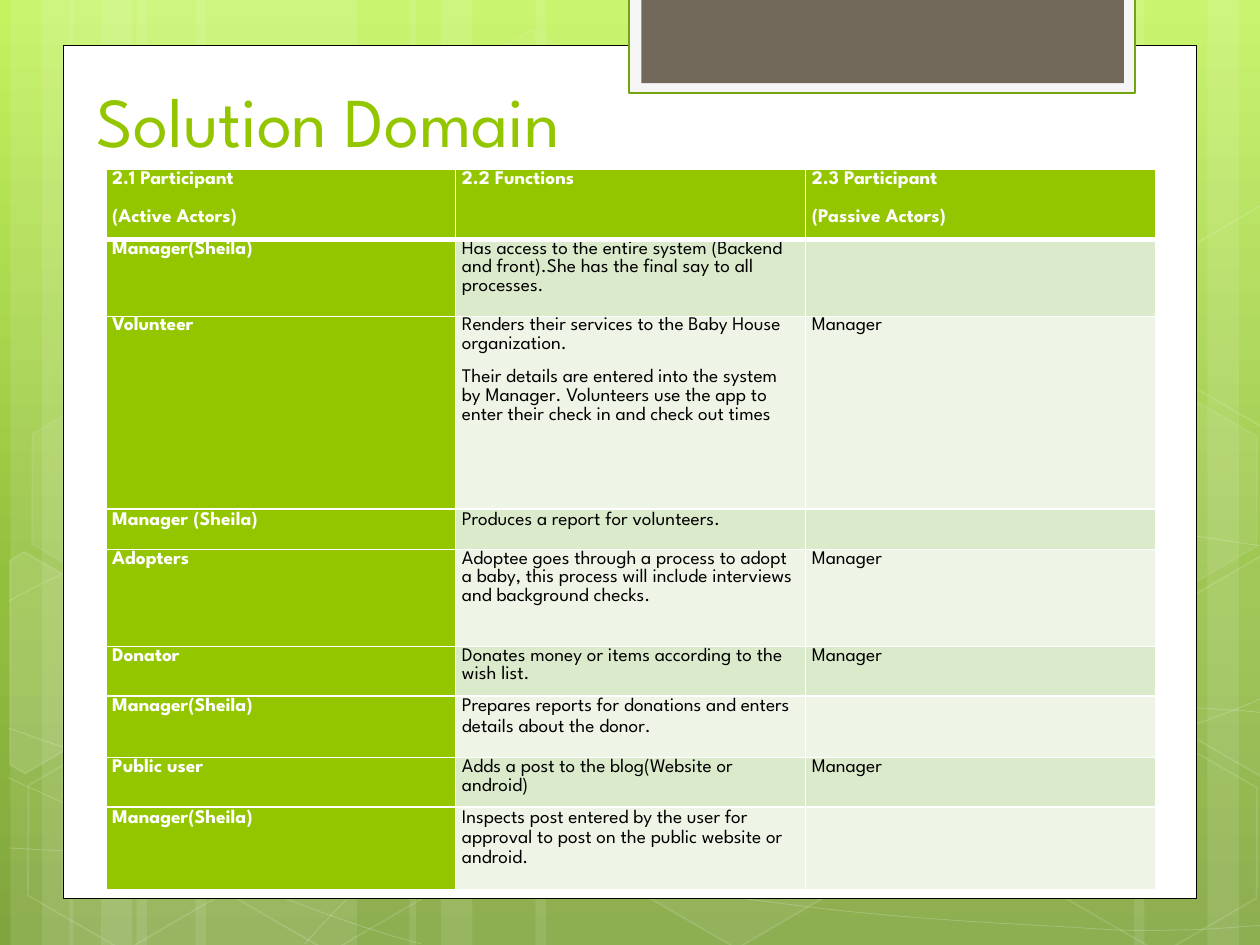
from copy import deepcopy

from lxml import etree
from pptx import Presentation
from pptx.dml.color import RGBColor
from pptx.enum.shapes import MSO_SHAPE
from pptx.enum.text import MSO_ANCHOR
from pptx.oxml.ns import qn
from pptx.util import Inches, Pt

RECTANGLE, HEXAGON = MSO_SHAPE.RECTANGLE, MSO_SHAPE.HEXAGON
BOTTOM = MSO_ANCHOR.BOTTOM
FONT = "League Spartan"
GREEN, WHITE, BLACK = "94C600", "FFFFFF", "000000"
BANDS = ("DCEACC", "EEF5E7")

presentation = Presentation()
presentation.slide_width, presentation.slide_height = Inches(10), Inches(7.5)
UNIT = presentation.slide_width // 10  # the grid has 10 columns and 7.5 rows
slide = presentation.slides.add_slide(presentation.slide_layouts[6])
shapes = slide.shapes


def grid(*lengths):
    """Turn grid columns or rows into slide lengths."""
    return [round(length * UNIT) for length in lengths]


def paint(shape, fill=None, opacity=100, line=None, width=1, line_opacity=100):
    """Set fill and outline, with opacity in percent; None leaves a part empty."""
    shape.shadow.inherit = False
    for target, color, percent in ((shape.fill, fill, opacity),
                                   (shape.line.fill, line, line_opacity)):
        if color is None:
            target.background()
            continue
        target.solid()
        target.fore_color.rgb = RGBColor.from_string(color)
        if percent < 100:
            area = shape.line._ln if target is shape.line.fill else shape._element.spPr
            swatch = area.find(qn("a:solidFill")).find(qn("a:srgbClr"))
            etree.SubElement(swatch, qn("a:alpha")).set("val", str(percent * 1000))
    if line:
        shape.line.width = Pt(width)


# Background gradient, from top to bottom
background = slide.background.fill
background.gradient()
background.gradient_angle = 270
stop_list = slide.element.find(".//" + qn("a:gsLst"))
stop_list.insert(1, deepcopy(stop_list[0]))
for stop, (position, color) in zip(background.gradient_stops,
                                   ((0, "C3F35F"), (0.62, "93BF3F"), (1, "81A53E"))):
    stop.position = position
    stop.color.rgb = RGBColor.from_string(color)

# Pale vertical bars: left and width in twelfths of a column
bars = [(13, 21), (1, 6), (4, 10), (18.6, 21), (6.6, 6), (9.6, 10),
        (88, 21), (115, 6), (108, 10), (51, 37), (39, 6), (42, 10)]
for left, width in bars:
    bar = shapes.add_shape(RECTANGLE, *grid(left / 12, 0, width / 12, 7.5))
    paint(bar, WHITE, 10)

# Thin curves: a start point, then two control points and an end point per piece
curves = [
    [(0.07, 6.73), (0.61, 6.76), (1.15, 6.79), (1.9, 6.78), (2.65, 6.77), (3.58, 6.75),
     (4.58, 6.65), (5.58, 6.55), (7, 6.36), (7.92, 6.17), (8.83, 5.98), (9.77, 5.68),
     (10.07, 5.51)],
    [(0.07, 4.77), (0.36, 4.61), (0.65, 4.46), (1.21, 4.31), (1.78, 4.16), (2.59, 3.94),
     (3.47, 3.87), (4.36, 3.8), (5.44, 3.79), (6.54, 3.87), (7.64, 3.95), (9.47, 4.26),
     (10.07, 4.34)],
    [(0.06, 6.17), (1.27, 6.72), (2.47, 7.27), (3.34, 7.49)],
    [(0.07, 5.78), (0.38, 5.89), (0.7, 6), (1.28, 6.16), (1.86, 6.31), (2.73, 6.56),
     (3.57, 6.73), (4.4, 6.9), (5.45, 7.08), (6.28, 7.18), (7.11, 7.29), (8, 7.33),
     (8.53, 7.36), (9.05, 7.4), (9.19, 7.38), (9.45, 7.38), (9.71, 7.37), (9.89, 7.35),
     (10.07, 7.34)],
    [(2.42, 7.49), (2.6, 7.29), (2.78, 7.09), (3.02, 6.91), (3.26, 6.73), (3.6, 6.53),
     (3.88, 6.39), (4.16, 6.25), (4.33, 6.19), (4.7, 6.09), (5.06, 5.99), (5.73, 5.85),
     (6.08, 5.78), (6.44, 5.71), (6.49, 5.71), (6.8, 5.69), (7.11, 5.66), (7.6, 5.63),
     (7.94, 5.62), (8.29, 5.61), (8.86, 5.62), (8.86, 5.62), (9.08, 5.62), (9.31, 5.62),
     (9.53, 5.62), (9.71, 5.63), (9.88, 5.64), (10.06, 5.66)],
]
for curve in curves:
    builder = shapes.build_freeform(*grid(*curve[0]))
    builder.add_line_segments([grid(*point) for point in curve[1:]], close=False)
    shape = builder.convert_to_shape()
    paint(shape, line=WHITE, width=0.5, line_opacity=20)
    # Every three straight segments become one Bézier piece
    segments = shape._element.findall(".//" + qn("a:lnTo"))
    outline = segments[0].getparent()
    for first in range(0, len(segments), 3):
        bezier = etree.SubElement(outline, qn("a:cubicBezTo"))
        for segment in segments[first:first + 3]:
            bezier.append(segment[0])
            outline.remove(segment)

# Whole hexagons: left, top, fill opacity, line opacity
hexagons = [(3.34, 0.36, 4, 8), (4.97, 5.89, 6, 12), (0.11, 5.91, 0, 12),
            (0.14, 3.12, 7, 8), (1.74, 5.92, 0, 12), (7.53, 4.53, 10, 12),
            (8.34, 5.93, 0, 12), (8.34, 3.14, 7, 8)]
for left, top, opacity, line_opacity in hexagons:
    hexagon = shapes.add_shape(HEXAGON, *grid(left, top, 1.75, 1.52))
    hexagon.adjustments[0] = 0.285
    hexagon.rotation = 30
    paint(hexagon, WHITE if opacity else None, opacity, WHITE, 1, line_opacity)

# Hexagons cut off by the slide's edges
cut_hexagons = [
    (10, [(0.08, 4.45), (0.19, 4.38), (0.96, 4.82), (0.95, 5.7), (0.2, 6.14), (0.08, 6.07)]),
    (4, [(9.26, 4.85), (10.01, 4.41), (10.09, 4.46), (10.09, 6.13), (10.02, 6.17), (9.26, 5.73)]),
    (0, [(9.26, 2.07), (10.01, 1.63), (10.1, 1.68), (10.09, 3.35), (10.02, 3.39), (9.26, 2.95)]),
]
for opacity, corners in cut_hexagons:
    builder = shapes.build_freeform(*grid(*corners[0]))
    builder.add_line_segments([grid(*corner) for corner in corners[1:]], close=True)
    paint(builder.convert_to_shape(), WHITE if opacity else None, opacity, WHITE, 1, 12)

# White page and the tab at its top
for box, fill, line, width in (((0.5, 0.36, 9, 6.77), WHITE, BLACK, 0.5),
                               ((4.99, -0.02, 4.02, 0.76), "F5F5F5", "74A510", 1.25),
                               ((5.09, -0.02, 3.83, 0.68), "71685A", None, 0)):
    paint(shapes.add_shape(RECTANGLE, *grid(*box)), fill, line=line, width=width)

title = shapes.add_textbox(*grid(0.67, 0.5, 4.58, 0.83)).text_frame
title.word_wrap = True
title.vertical_anchor = BOTTOM
title.text = "Solution Domain"
title_font = title.paragraphs[0].runs[0].font
title_font.name, title_font.size = FONT, Pt(40)
title_font.color.rgb = RGBColor.from_string(GREEN)

# Each row: height, line spacing, cell texts
rows = [
    (0.5, 1.15, "2.1 Participant\n(Active Actors)", "2.2 Functions",
     "2.3 Participant\n(Passive Actors)"),
    (0.61, 1.07, "Manager(Sheila)", "Has access to the entire system (Backend and front)."
     "She has the final say to all processes.", ""),
    (1.53, 1.07, "Volunteer", "Renders their services to the Baby House organization.\n"
     "Their details are entered into the system by Manager. Volunteers use the app to "
     "enter their check in and check out times", "Manager"),
    (0.32, 1.15, "Manager (Sheila)", "Produces a report for volunteers.", ""),
    (0.77, 1.07, "Adopters", "Adoptee goes through a process to adopt a baby, this process "
     "will include interviews and background checks.", "Manager"),
    (0.3, 1.07, "Donator", "Donates money or items according to the wish list.", "Manager"),
    (0.49, 1.15, "Manager(Sheila)",
     "Prepares reports for donations and enters details about the donor.", ""),
    (0.3, 1.07, "Public user", "Adds a post to the blog(Website or android)", "Manager"),
    (0.66, 1.15, "Manager(Sheila)", "Inspects post entered by the user for approval to post "
     "on the public website or android.", ""),
]
table_height = sum(row[0] for row in rows)
table = shapes.add_table(len(rows), 3, *grid(0.84, 1.34, 8.33, table_height)).table
table.first_col = True
for row_index, (height, line_spacing, *texts) in enumerate(rows):
    table.rows[row_index].height = grid(height)[0]
    for column_index, text in enumerate(texts):
        heading = row_index == 0 or column_index == 0
        cell = table.cell(row_index, column_index)
        cell.margin_left = cell.margin_right = grid(0.05)[0]
        cell.margin_top = cell.margin_bottom = 0
        cell.fill.solid()
        cell.fill.fore_color.rgb = RGBColor.from_string(
            GREEN if heading else BANDS[(row_index - 1) % 2])
        # White borders, thicker under the header row
        properties = cell._tc.get_or_add_tcPr()
        for order, side in enumerate(("lnL", "lnR", "lnT", "lnB")):
            thick = (row_index, side) in ((0, "lnB"), (1, "lnT"))
            border = etree.Element(qn("a:" + side), w=str(Pt(3 if thick else 1)))
            solid = etree.SubElement(border, qn("a:solidFill"))
            etree.SubElement(solid, qn("a:srgbClr")).set("val", WHITE)
            properties.insert(order, border)
        cell.text_frame.text = text
        for index, paragraph in enumerate(cell.text_frame.paragraphs):
            paragraph.line_spacing = line_spacing
            if index:
                paragraph.space_before = Pt(10 if row_index == 0 else 8)
            for run in paragraph.runs:
                run.font.name, run.font.size, run.font.bold = FONT, Pt(11), heading
                run.font.color.rgb = RGBColor.from_string(WHITE if heading else BLACK)

presentation.save("out.pptx")
